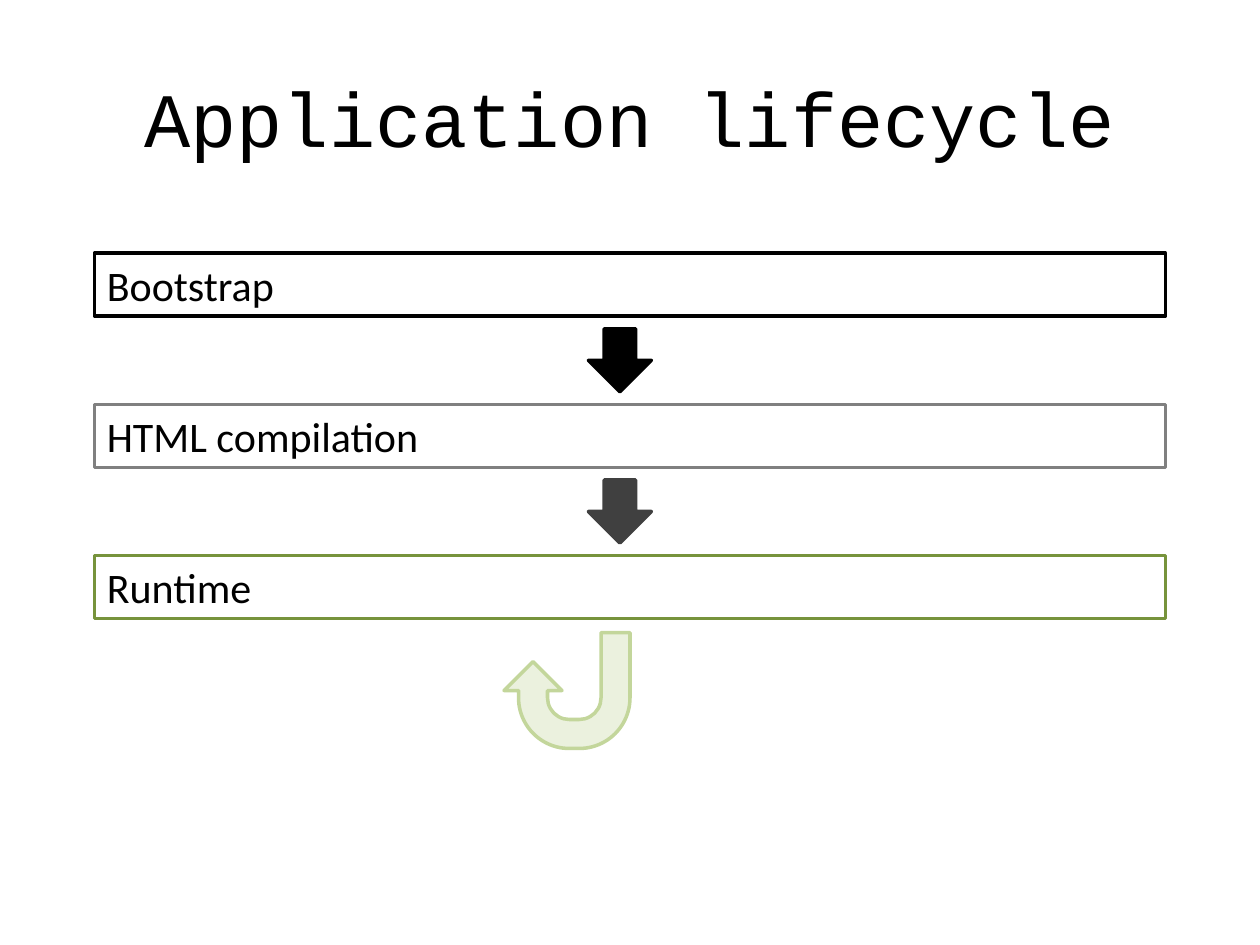
from dataclasses import dataclass

from pptx import Presentation
from pptx.dml.color import RGBColor
from pptx.enum.shapes import MSO_SHAPE
from pptx.enum.text import MSO_ANCHOR, MSO_AUTO_SIZE, PP_ALIGN
from pptx.util import Inches, Pt

RECT = MSO_SHAPE.RECTANGLE
DOWN = MSO_SHAPE.DOWN_ARROW
UTURN = MSO_SHAPE.U_TURN_ARROW
TITLE_ONLY = 5


@dataclass(frozen=True)
class Theme:
    title_font: str = "Courier New"
    body_font: str = "Calibri"
    title_size: int = 44
    body_size: int = 24
    line_width: int = 2
    black: str = "000000"
    white: str = "FFFFFF"
    gray: str = "808080"
    dark_gray: str = "404040"
    green: str = "77933C"
    light_green: str = "C3D69B"
    pale_green: str = "EBF1DE"


THEME = Theme()

# Grid in inches: one stage and one arrow per row
LEFT, TOP, WIDTH = 0.75, 2.01, 8.5
PITCH = 1.2
STAGE_H = 0.5
ARROW_LEFT, ARROW_SIZE, ARROW_DROP = 4.67, 0.5, 0.6


def add_run(p, text, font, size):
    r = p.add_run()
    r.text = text
    r.font.name = font
    r.font.size = Pt(size)
    r.font.color.rgb = RGBColor.from_string(THEME.black)


def add_title(s, text):
    title = s.shapes.title
    title.left, title.top = Inches(0.5), Inches(0.3)
    title.width, title.height = Inches(9), Inches(1.25)
    tf = title.text_frame
    tf.vertical_anchor = MSO_ANCHOR.MIDDLE
    p = tf.paragraphs[0]
    p.alignment = PP_ALIGN.CENTER
    add_run(p, text, THEME.title_font, THEME.title_size)


def add_block(s, kind, box, fill, line):
    sp = s.shapes.add_shape(kind, *(Inches(v) for v in box))
    sp.shadow.inherit = False
    sp.fill.solid()
    sp.fill.fore_color.rgb = RGBColor.from_string(fill)
    sp.line.color.rgb = RGBColor.from_string(line)
    sp.line.width = Pt(THEME.line_width)
    return sp


def add_stage(s, row, text, line):
    box = (LEFT, TOP + row * PITCH, WIDTH, STAGE_H)
    tf = add_block(s, RECT, box, THEME.white, line).text_frame
    tf.word_wrap = True
    tf.auto_size = MSO_AUTO_SIZE.SHAPE_TO_FIT_TEXT
    tf.vertical_anchor = MSO_ANCHOR.TOP
    p = tf.paragraphs[0]
    p.alignment = PP_ALIGN.LEFT
    add_run(p, text, THEME.body_font, THEME.body_size)


def add_down_arrow(s, row, color):
    top = TOP + row * PITCH + ARROW_DROP
    add_block(s, DOWN, (ARROW_LEFT, top, ARROW_SIZE, ARROW_SIZE), color, color)


def add_loop_arrow(s):
    sp = add_block(s, UTURN, (4, 5.02, 1, 0.92),
                   THEME.pale_green, THEME.light_green)
    sp.rotation = 180


def main():
    prs = Presentation()
    prs.slide_width, prs.slide_height = Inches(10), Inches(7.5)
    s = prs.slides.add_slide(prs.slide_layouts[TITLE_ONLY])
    add_title(s, "Application lifecycle")

    # Lifecycle stages
    stages = [("Bootstrap", THEME.black),
              ("HTML compilation", THEME.gray),
              ("Runtime", THEME.green)]
    for row, (text, line) in enumerate(stages):
        add_stage(s, row, text, line)

    # Steps between stages, then the loop back into the last one
    for row, color in enumerate([THEME.black, THEME.dark_gray]):
        add_down_arrow(s, row, color)
    add_loop_arrow(s)

    prs.save("out.pptx")


if __name__ == "__main__":
    main()
